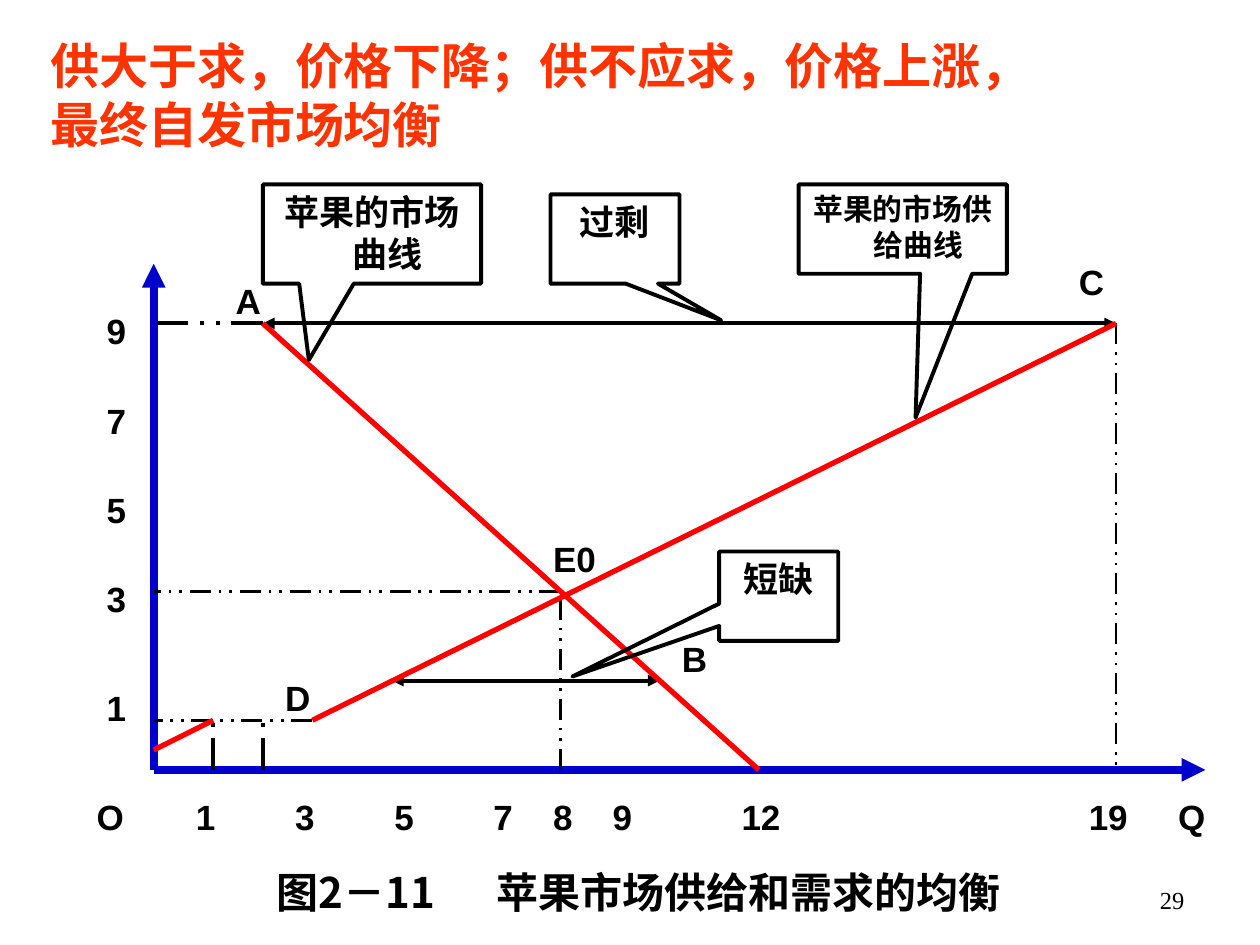
from dataclasses import dataclass

from lxml.etree import SubElement
from pptx import Presentation
from pptx.dml.color import RGBColor
from pptx.enum.dml import MSO_LINE
from pptx.enum.shapes import MSO_CONNECTOR, MSO_SHAPE
from pptx.enum.text import MSO_ANCHOR, MSO_AUTO_SIZE, PP_ALIGN
from pptx.oxml.ns import qn
from pptx.util import Cm, Inches, Pt


@dataclass(frozen=True)
class Theme:
    ink: str = "000000"
    axis: str = "0000CC"
    curve: str = "FF0000"
    title: str = "FF3300"
    paper: str = "FFFFFF"
    latin: str = "Arial"
    cjk: str = "Noto Sans CJK SC"
    serif: str = "Times New Roman"
    title_size: float = 28
    caption_size: float = 24
    label_size: float = 20
    small_size: float = 17
    number_size: float = 14
    axis_width: float = 4.5
    curve_width: float = 3
    line_width: float = 2.25
    guide_width: float = 1.5


def write(frame, text, *, size, color, font, cjk, bold=True,
          align=PP_ALIGN.LEFT, hanging=0, tab=None):
    frame.word_wrap = True
    frame.auto_size = MSO_AUTO_SIZE.NONE
    paragraph = frame.paragraphs[0]
    paragraph.alignment = align
    properties = paragraph._p.get_or_add_pPr()
    if hanging:
        properties.set("marL", str(Inches(hanging)))
        properties.set("indent", str(-Inches(hanging)))
    if tab:
        stops = SubElement(properties, qn("a:tabLst"))
        SubElement(stops, qn("a:tab"), pos=str(Inches(tab)), algn="l")
    run = paragraph.add_run()
    run.text = text
    run.font.size = Pt(size)
    run.font.bold = bold
    run.font.name = font
    run.font.color.rgb = RGBColor.from_string(color)
    SubElement(run._r.get_or_add_rPr(), qn("a:ea"), typeface=cjk)


class MarketSlide:
    unit = Cm(0.2)
    origin_x = Inches(1.22)
    origin_y = Inches(6.11)

    def __init__(self, deck, theme):
        self.theme = theme
        self.deck = deck
        self.slide = deck.slides.add_slide(deck.slide_layouts[5])

    def point(self, column, row):
        return (round(self.origin_x + column * self.unit),
                round(self.origin_y - row * self.unit))

    def share(self, left, top, width, height):
        across, down = self.deck.slide_width, self.deck.slide_height
        return (round(left * across), round(top * down),
                round(width * across), round(height * down))

    def title(self, text, area):
        heading = self.slide.shapes.title
        heading.left, heading.top, heading.width, heading.height = self.share(*area)
        heading.fill.solid()
        heading.fill.fore_color.rgb = RGBColor.from_string(self.theme.paper)
        heading.text_frame.vertical_anchor = MSO_ANCHOR.MIDDLE
        write(heading.text_frame, text, size=self.theme.title_size,
              color=self.theme.title, font=self.theme.latin, cjk=self.theme.cjk)

    def note(self, text, area, **style):
        box = self.slide.shapes.add_textbox(*self.share(*area))
        write(box.text_frame, text, color=self.theme.ink, cjk=self.theme.cjk, **style)

    def label(self, text, column, row, columns=8):
        box = self.slide.shapes.add_textbox(
            *self.point(column, row), columns * self.unit, round(5.6 * self.unit))
        write(box.text_frame, text, size=self.theme.label_size,
              color=self.theme.ink, font=self.theme.latin, cjk=self.theme.cjk)

    def line(self, start, end, color, width, dashed=False, head=False, tail=False):
        stroke = self.slide.shapes.add_connector(
            MSO_CONNECTOR.STRAIGHT, *self.point(*start), *self.point(*end))
        stroke.line.color.rgb = RGBColor.from_string(color)
        stroke.line.width = Pt(width)
        if dashed:
            stroke.line.dash_style = MSO_LINE.DASH_DOT_DOT
        outline = stroke.line._get_or_add_ln()
        for end_name, wanted in (("a:headEnd", head), ("a:tailEnd", tail)):
            if wanted:
                SubElement(outline, qn(end_name), type="triangle")
        SubElement(stroke._element.spPr, qn("a:effectLst"))

    def callout(self, text, column, row, columns, rows, tip, size):
        bubble = self.slide.shapes.add_shape(
            MSO_SHAPE.RECTANGULAR_CALLOUT, *self.point(column, row),
            columns * self.unit, rows * self.unit)
        bubble.adjustments[0] = (tip[0] - column) / columns - 0.5
        bubble.adjustments[1] = (row - tip[1]) / rows - 0.5
        bubble.shadow.inherit = False
        bubble.fill.background()
        bubble.line.color.rgb = RGBColor.from_string(self.theme.ink)
        bubble.line.width = Pt(self.theme.line_width)
        bubble.text_frame.vertical_anchor = MSO_ANCHOR.TOP
        write(bubble.text_frame, text, size=size, color=self.theme.ink,
              font=self.theme.latin, cjk=self.theme.cjk,
              align=PP_ALIGN.CENTER, hanging=0.25)


def main():
    deck = Presentation()
    deck.slide_width, deck.slide_height = Inches(10), Inches(7.5)
    theme = Theme()
    market = MarketSlide(deck, theme)

    market.title("供大于求，价格下降；供不应求，价格上涨，最终自发市场均衡",
                 (0.03, 0.03, 0.81, 0.14))

    origin, surplus_left, surplus_right = (0, 0), (11, 45), (97, 45)
    for axis_end in ((106, 0), (0, 51)):
        market.line(origin, axis_end, theme.axis, theme.axis_width, tail=True)

    for start, end, width in (
        ((6, 0), (6, 5), theme.line_width),
        ((11, 0), (11, 5), theme.line_width),
        (surplus_left, (0, 45), theme.line_width),
        ((16, 5), (0, 5), theme.guide_width),
        ((41, 0), (41, 18), theme.guide_width),
        ((41, 18), (0, 18), theme.guide_width),
        (surplus_right, (97, 0), theme.guide_width),
    ):
        market.line(start, end, theme.ink, width, dashed=True)

    for start, end in ((surplus_right, surplus_left), ((51, 9), (24, 9))):
        market.line(start, end, theme.ink, theme.line_width, head=True, tail=True)

    for start, end in (((0, 2), (6, 5)), ((16, 5), surplus_right),
                       (surplus_left, (61, 0))):
        market.line(start, end, theme.curve, theme.curve_width)

    for quantity, column in (("O", -7), ("1", 3), ("3", 13), ("5", 23), ("7", 33),
                             ("8", 39), ("9", 45), ("12", 58), ("19", 93), ("Q", 102)):
        market.label(quantity, column, -2)
    for price, row in (("1", 9), ("3", 20), ("5", 29), ("7", 38), ("9", 47)):
        market.label(price, -6, row, columns=6)
    for name, column, row in (("A", 7, 50), ("B", 52, 14), ("C", 92, 52),
                              ("D", 12, 10), ("E0", 39, 24)):
        market.label(name, column, row, columns=9)

    for text, column, row, columns, rows, tip, size in (
        ("苹果的市场曲线", 11, 59, 22, 10, (15.64, 41.3), theme.label_size),
        ("过剩", 40, 58, 13, 9, (57.2, 45.3), theme.label_size),
        ("苹果的市场供给曲线", 65, 59, 21, 9, (76.8, 35.5), theme.small_size),
        ("短缺", 57, 22, 12, 9, (42.2, 9.4), theme.label_size),
    ):
        market.callout(text, column, row, columns, rows, tip, size)

    market.note("图2－11\t苹果市场供给和需求的均衡", (0.21, 0.91, 0.6, 0.09),
                size=theme.caption_size, font=theme.cjk, tab=1.74)
    market.note("29", (0.72, 0.93, 0.23, 0.07), size=theme.number_size,
                font=theme.serif, bold=False, align=PP_ALIGN.RIGHT)
    deck.save("out.pptx")


if __name__ == "__main__":
    main()
